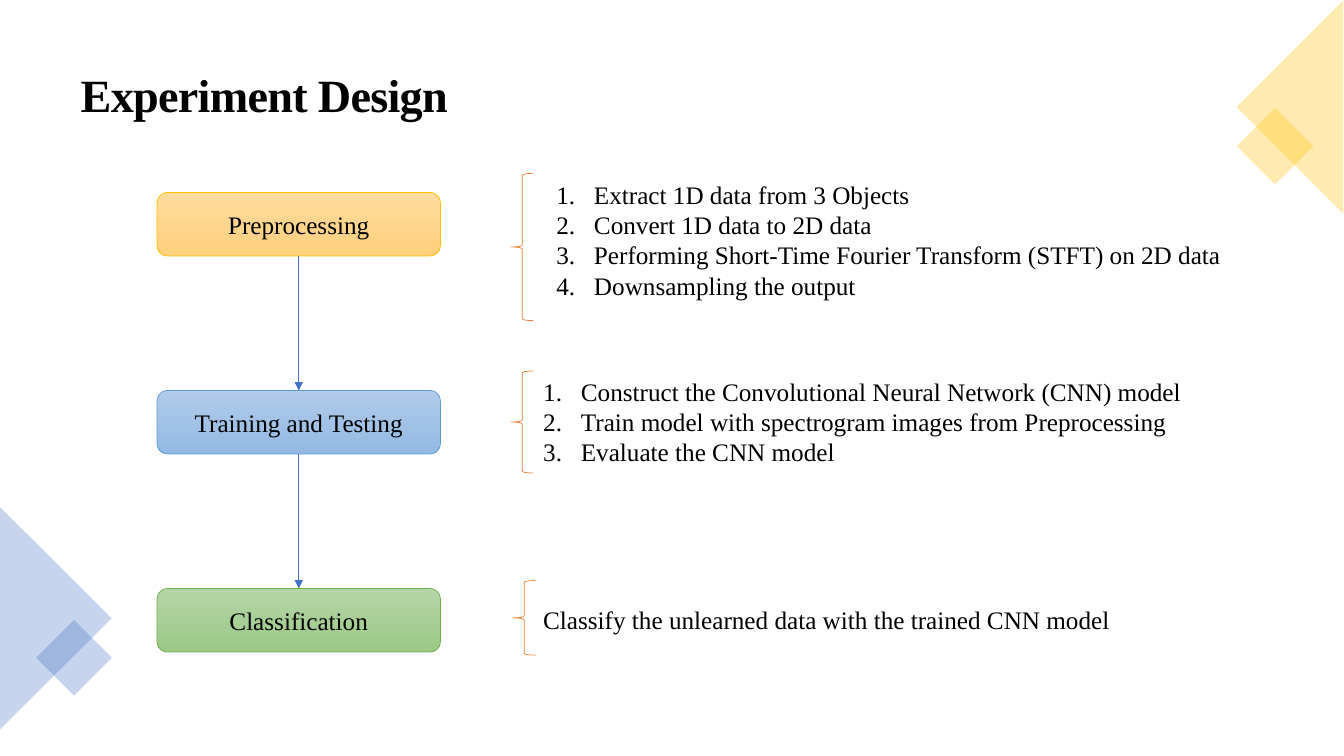
"""Build the Experiment Design slide: three stages, each with its steps."""
from lxml.etree import SubElement
from pptx import Presentation
from pptx.dml.color import RGBColor
from pptx.enum.shapes import MSO_CONNECTOR, MSO_SHAPE
from pptx.enum.text import MSO_ANCHOR, MSO_AUTO_SIZE, PP_ALIGN
from pptx.oxml.ns import qn
from pptx.util import Cm, Pt

BLACK = RGBColor(0x00, 0x00, 0x00)
GOLD = RGBColor(0xFF, 0xC0, 0x00)
BLUE = RGBColor(0x44, 0x72, 0xC4)
SKY = RGBColor(0x5B, 0x9B, 0xD5)
GREEN = RGBColor(0x70, 0xAD, 0x47)
ORANGE = RGBColor(0xED, 0x7D, 0x31)
GOLD_FADE = RGBColor(0xFF, 0xDB, 0x9E), RGBColor(0xFF, 0xD0, 0x7C)
SKY_FADE = RGBColor(0xB1, 0xCB, 0xE9), RGBColor(0x93, 0xB9, 0xE4)
GREEN_FADE = RGBColor(0xB5, 0xD5, 0xA7), RGBColor(0x9C, 0xC9, 0x87)


def write(p, text, size=18, bold=False, align=PP_ALIGN.LEFT, numbered=False):
    p.alignment = align
    r = p.add_run()
    r.text = text
    r.font.name = "Times New Roman"
    r.font.size = Pt(size)
    r.font.bold = bold
    r.font.color.rgb = BLACK
    if numbered:
        pPr = p._p.get_or_add_pPr()
        pPr.set("marL", str(Cm(0.95)))
        pPr.set("indent", str(-Cm(0.95)))
        SubElement(pPr, qn("a:buFont"), typeface="+mj-lt")
        SubElement(pPr, qn("a:buAutoNum"), type="arabicPeriod")
    return r


def add_shape(kind, x, y, w, h):
    sp = s.shapes.add_shape(kind, Cm(x), Cm(y), Cm(w), Cm(h))
    sp.shadow.inherit = False
    return sp


prs = Presentation()
prs.slide_width, prs.slide_height = Cm(33.87), Cm(19.05)
s = prs.slides.add_slide(prs.slide_layouts[5])

corners = [
    (MSO_SHAPE.RECTANGLE, 31.45, 3, 1.37, 1.37, 45, GOLD),
    (MSO_SHAPE.ISOSCELES_TRIANGLE, 29.82, 1.35, 5.38, 2.69, 270, GOLD),
    (MSO_SHAPE.ISOSCELES_TRIANGLE, -1.4, 14.17, 5.61, 2.82, 90, BLUE),
    (MSO_SHAPE.RECTANGLE, 1.19, 15.9, 1.35, 1.35, 45, BLUE),
]
for kind, x, y, w, h, angle, color in corners:
    sp = add_shape(kind, x, y, w, h)
    sp.rotation = angle
    sp.fill.solid()
    sp.fill.fore_color.rgb = color
    srgb = sp.fill._xPr.find(qn("a:solidFill")).find(qn("a:srgbClr"))
    SubElement(srgb, qn("a:alpha"), val="30000")
    sp.line.fill.background()

title = s.shapes.title
title.left, title.top, title.width, title.height = Cm(1.78), Cm(0.89), Cm(30.3), Cm(3.15)
tf = title.text_frame
tf.auto_size = MSO_AUTO_SIZE.NONE
tf.vertical_anchor = MSO_ANCHOR.MIDDLE
p = tf.paragraphs[0]
p.line_spacing = 0.9
p.space_after = Pt(6)
r = write(p, "Experiment Design", size=33, bold=True)
r.font._element.set("spc", "-50")

BOX_X, BOX_Y, BOX_W, BOX_H, PITCH = 3.96, 4.85, 7.14, 1.6, 4.99
stages = [
    ("Preprocessing", GOLD_FADE, GOLD),
    ("Training and Testing", SKY_FADE, SKY),
    ("Classification", GREEN_FADE, GREEN),
]
for i, (name, fade, edge) in enumerate(stages):
    y = BOX_Y + i * PITCH
    sp = add_shape(MSO_SHAPE.ROUNDED_RECTANGLE, BOX_X, y, BOX_W, BOX_H)
    sp.fill.gradient()
    sp.fill.gradient_angle = 270
    for stop, color in zip(sp.fill.gradient_stops, fade):
        stop.color.rgb = color
    for stop, position in zip(sp.fill.gradient_stops, (0, 1)):
        stop.position = position
    sp.line.color.rgb = edge
    sp.line.width = Pt(0.5)
    sp.text_frame.vertical_anchor = MSO_ANCHOR.MIDDLE
    write(sp.text_frame.paragraphs[0], name, align=PP_ALIGN.CENTER)
    if i:
        x = Cm(BOX_X + BOX_W / 2)
        arrow = s.shapes.add_connector(
            MSO_CONNECTOR.STRAIGHT, x, Cm(y - PITCH + BOX_H), x, Cm(y))
        arrow.line.color.rgb = BLUE
        arrow.line.width = Pt(0.5)
        SubElement(arrow.line._get_or_add_ln(), qn("a:tailEnd"), type="triangle")
        SubElement(arrow._element.spPr, qn("a:effectLst"))

details = [
    ((12.88, 4.37, 0.56, 3.71), (13.77, 4.39, 17.65, 3.33), [
        "Extract 1D data from 3 Objects",
        "Convert 1D data to 2D data",
        "Performing Short-Time Fourier Transform (STFT) on 2D data",
        "Downsampling the output",
    ]),
    ((12.88, 9.35, 0.56, 2.57), (13.44, 9.35, 17.07, 2.57), [
        "Construct the Convolutional Neural Network (CNN) model",
        "Train model with spectrogram images from Preprocessing",
        "Evaluate the CNN model",
    ]),
    ((12.93, 14.63, 0.56, 1.88), (13.44, 15.11, 17.07, 1.02), [
        "Classify the unlearned data with the trained CNN model",
    ]),
]
for brace_at, text_at, steps in details:
    brace = add_shape(MSO_SHAPE.LEFT_BRACE, *brace_at)
    brace.fill.background()
    brace.line.color.rgb = ORANGE
    brace.line.width = Pt(0.5)
    tf = s.shapes.add_textbox(*[Cm(v) for v in text_at]).text_frame
    tf.word_wrap = True
    tf.auto_size = MSO_AUTO_SIZE.SHAPE_TO_FIT_TEXT
    for i, step in enumerate(steps):
        p = tf.add_paragraph() if i else tf.paragraphs[0]
        write(p, step, numbered=len(steps) > 1)

prs.save("out.pptx")
